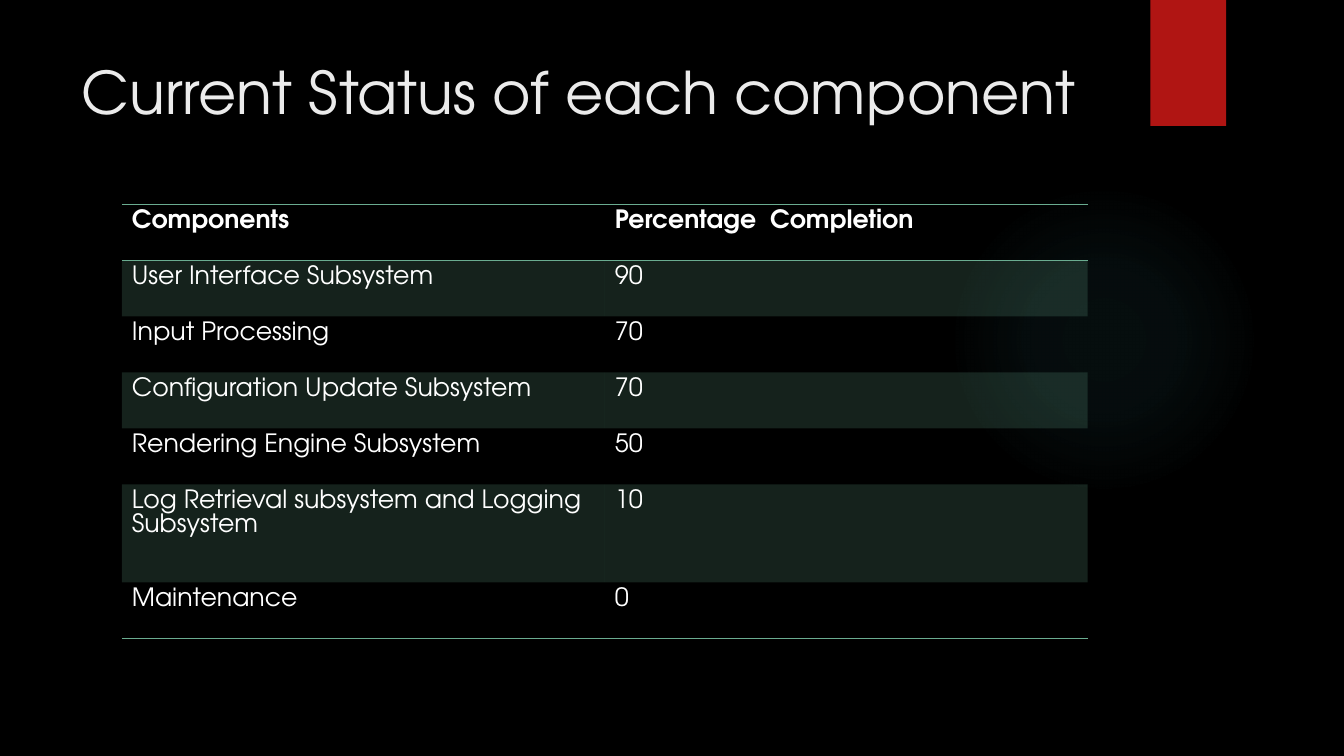
from dataclasses import dataclass

from lxml import etree
from pptx import Presentation
from pptx import util as u
from pptx.dml.color import RGBColor
from pptx.enum import shapes, text
from pptx.oxml import ns, parse_xml

Pt = u.Pt


@dataclass(frozen=True)
class Theme:
    font: str = "TeX Gyre Adventor"
    background: str = "000000"
    title: str = "EBEBEB"
    body: str = "FFFFFF"
    accent: str = "6AAC90"
    glow: str = "50B9C1"
    ribbon: str = "B01513"
    title_size: int = 42
    body_size: int = 18
    line_height: int = 17
    band_alpha: int = 20


def color(value):
    return RGBColor.from_string(value)


def element(markup):
    return parse_xml(markup.replace(">", f" {ns.nsdecls('a')}>", 1))


def tint(value, alpha):
    return f'<a:srgbClr val="{value}"><a:alpha val="{alpha * 1000}"/></a:srgbClr>'


class StatusSlide:
    NO_STYLE = "{2D5ABB26-0587-4C30-8999-92F81FD0307C}"

    def __init__(self, deck, theme):
        self.theme = theme
        self.slide = deck.slides.add_slide(deck.slide_layouts[5])
        backdrop = self.slide.background.fill
        backdrop.solid()
        backdrop.fore_color.rgb = color(theme.background)

    def style(self, paragraph, size, value, bold=False):
        font = paragraph.font
        font.name, font.size, font.bold = self.theme.font, Pt(size), bold
        font.color.rgb = color(value)

    def title(self, words, *box):
        heading = self.slide.shapes.title
        heading.left, heading.top, heading.width, heading.height = map(Pt, box)
        frame = heading.text_frame
        frame.text = words
        frame.word_wrap = True
        frame.auto_size = text.MSO_AUTO_SIZE.NONE
        frame.vertical_anchor = text.MSO_ANCHOR.TOP
        paragraph = frame.paragraphs[0]
        paragraph.alignment = text.PP_ALIGN.LEFT
        self.style(paragraph, self.theme.title_size, self.theme.title)

    def shape(self, kind, *box):
        added = self.slide.shapes.add_shape(kind, *map(Pt, box))
        added.shadow.inherit = False
        added.line.fill.background()
        return added

    def glow(self, *box):
        halo = self.shape(shapes.MSO_SHAPE.OVAL, *box)
        stops = "".join(
            f'<a:gs pos="{place * 1000}">{tint(self.theme.glow, alpha)}</a:gs>'
            for place, alpha in ((0, 7), (36, 6), (69, 0))
        )
        gradient = element(
            f'<a:gradFill><a:gsLst>{stops}</a:gsLst><a:path path="circle">'
            '<a:fillToRect l="50000" t="50000" r="50000" b="50000"/>'
            "</a:path></a:gradFill>"
        )
        halo.fill.background()
        properties = halo._element.spPr
        properties.replace(properties.find(ns.qn("a:noFill")), gradient)

    def ribbon(self, *box):
        tab = self.shape(shapes.MSO_SHAPE.RECTANGLE, *box)
        tab.fill.solid()
        tab.fill.fore_color.rgb = color(self.theme.ribbon)
        effects = tab._element.spPr.find(ns.qn("a:effectLst"))
        effects.append(element(
            f'<a:outerShdw blurRad="{Pt(3)}" dist="{Pt(2)}" dir="5400000">'
            f"{tint('000000', 45)}</a:outerShdw>"
        ))

    def rule(self, cell, side):
        cell._tc.get_or_add_tcPr().append(element(
            f'<a:{side} w="{Pt(1)}"><a:solidFill><a:srgbClr val="{self.theme.accent}"/>'
            f"</a:solidFill></a:{side}>"
        ))

    def band(self, cell):
        cell.fill.solid()
        cell.fill.fore_color.rgb = color(self.theme.accent)
        shade = cell._tc.tcPr.find(ns.qn("a:solidFill"))[0]
        alpha = etree.SubElement(shade, ns.qn("a:alpha"))
        alpha.set("val", str(self.theme.band_alpha * 1000))

    def table(self, rows, heights, left, top, width):
        columns = len(rows[0])
        frame = self.slide.shapes.add_table(
            len(rows), columns, Pt(left), Pt(top), Pt(width), Pt(sum(heights))
        )
        grid = frame.table
        grid.horz_banding = False
        grid._tbl.tblPr.find(ns.qn("a:tableStyleId")).text = self.NO_STYLE
        for column in grid.columns:
            column.width = Pt(width / columns)
        for index, (values, height) in enumerate(zip(rows, heights)):
            grid.rows[index].height = Pt(height)
            for place, value in enumerate(values):
                self.cell(grid.cell(index, place), value, index, len(rows) - 1)

    def cell(self, cell, value, index, last):
        cell.text = value
        paragraph = cell.text_frame.paragraphs[0]
        paragraph.line_spacing = Pt(self.theme.line_height)
        self.style(paragraph, self.theme.body_size, self.theme.body, bold=index == 0)
        if index == 0:
            self.rule(cell, "lnT")
        if index in (0, last):
            self.rule(cell, "lnB")
        if index % 2:
            self.band(cell)
        else:
            cell.fill.background()


deck = Presentation()
deck.slide_width, deck.slide_height = Pt(960), Pt(540)

status = StatusSlide(deck, Theme())
status.glow(677.5, 131.75, 221.75, 221.75)
status.ribbon(821.75, 0, 54, 90)
status.title("Current Status of each component", 51, 36, 741, 110)

progress = [
    ("Components", "Percentage  Completion"),
    ("User Interface Subsystem", "90"),
    ("Input Processing", "70"),
    ("Configuration Update Subsystem", "70"),
    ("Rendering Engine Subsystem", "50"),
    ("Log Retrieval subsystem and Logging Subsystem", "10"),
    ("Maintenance", "0"),
]
status.table(progress, [40] * 5 + [70, 40], 87, 146, 690)

deck.save("out.pptx")
